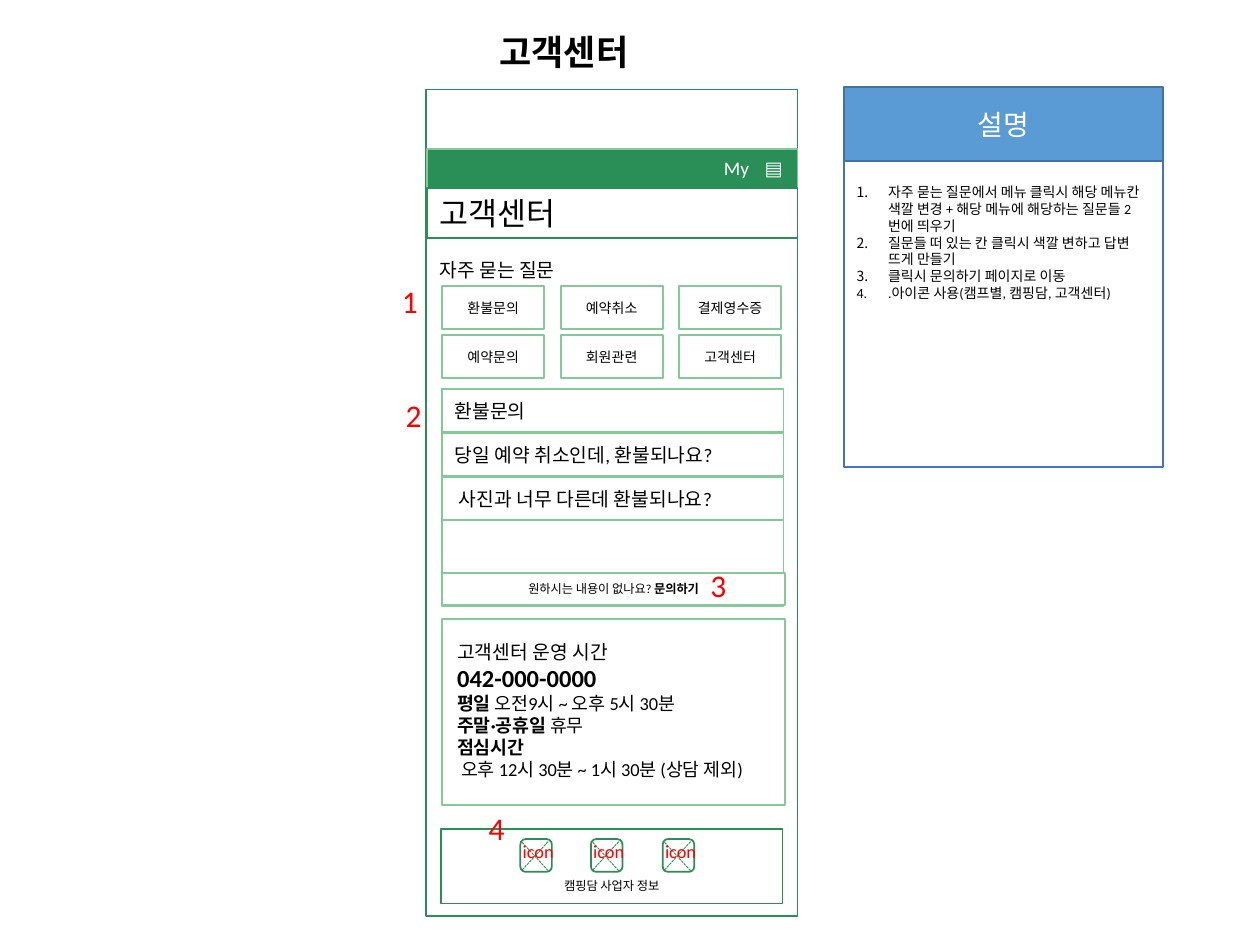
from lxml import etree
from pptx import Presentation
from pptx.dml.color import RGBColor
from pptx.enum.dml import MSO_LINE
from pptx.enum.shapes import MSO_CONNECTOR, MSO_SHAPE
from pptx.enum.text import MSO_ANCHOR, PP_ALIGN
from pptx.oxml.ns import qn
from pptx.util import Inches, Pt

RECT, ROUND = MSO_SHAPE.RECTANGLE, MSO_SHAPE.ROUNDED_RECTANGLE
STRAIGHT, DASH = MSO_CONNECTOR.STRAIGHT, MSO_LINE.SQUARE_DOT
TOP, MIDDLE, BOTTOM = MSO_ANCHOR.TOP, MSO_ANCHOR.MIDDLE, MSO_ANCHOR.BOTTOM
LEFT, CENTER = PP_ALIGN.LEFT, PP_ALIGN.CENTER
GREEN, LIGHT, BLUE = "2A8E57", "85C89A", "5B9BD5"
WHITE, BLACK, RED = "FFFFFF", "000000", "FF0000"

# Content: a paragraph is a string or a list of (text, format) runs
TITLE = "고객센터"
NOTES_HEAD = "설명"
NOTES = [
    "자주 묻는 질문에서 메뉴 클릭시 해당 메뉴칸 색깔 변경 + 해당 메뉴에 해당하는 질문들 2번에 띄우기",
    "질문들 떠 있는 칸 클릭시 색깔 변하고 답변 뜨게 만들기",
    "클릭시 문의하기 페이지로 이동",
    ".아이콘 사용(캠프별, 캠핑담, 고객센터)",
]
FAQ_HEAD = "자주 묻는 질문"
MENU = [["환불문의", "예약취소", "결제영수증"],
        ["예약문의", "회원관련", "고객센터"]]
QUESTIONS = ["환불문의", "당일 예약 취소인데, 환불되나요?", " 사진과 너무 다른데 환불되나요?"]
BOLD = {"bold": True}
ASK = [[("원하시는 내용이 없나요? ", {}), ("문의하기", BOLD)]]
HOURS = [
    [("고객센터 운영 시간", {"size": Pt(11)})],
    [("042-000-0000", {"size": Pt(14), "bold": True})],
    [("평일", BOLD), (" 오전9시 ~ 오후 5시 30분", {})],
    [("주말·공휴일", BOLD), (" 휴무", {})],
    [("점심시간", BOLD)],
    " 오후 12시 30분 ~ 1시 30분 (상담 제외)",
]
COMPANY = "캠핑담 사업자 정보"
MARKERS = [("1", 3.09, 2.19), ("2", 3.12, 3.09), ("3", 5.54, 4.44), ("4", 3.78, 6.37)]
ICON_LEFTS = [4.13, 4.69, 5.26]

prs = Presentation()
prs.slide_width, prs.slide_height = Inches(10), Inches(7.5)
s = prs.slides.add_slide(prs.slide_layouts[6])


def rgb(value):
    return RGBColor.from_string(value)


def write(sp, paras, size, color=BLACK, align=LEFT, anchor=MIDDLE, **frame):
    tf = sp.text_frame
    for name, value in {"word_wrap": True, "vertical_anchor": anchor, **frame}.items():
        setattr(tf, name, value)
    for i, runs in enumerate([paras] if isinstance(paras, str) else paras):
        p = tf.add_paragraph() if i else tf.paragraphs[0]
        p.alignment = align
        for text, fmt in [(runs, {})] if isinstance(runs, str) else runs:
            r = p.add_run()
            r.text = text
            r.font.color.rgb = rgb(color)
            for name, value in {"name": "Calibri", "size": Pt(size), **fmt}.items():
                setattr(r.font, name, value)
    return tf


def box(x, y, w, h, line=None, fill=None, kind=RECT):
    sp = s.shapes.add_shape(kind, Inches(x), Inches(y), Inches(w), Inches(h))
    sp.shadow.inherit = False
    if fill:
        sp.fill.solid()
        sp.fill.fore_color.rgb = rgb(fill)
    else:
        sp.fill.background()
    if line:
        sp.line.color.rgb = rgb(line)
        sp.line.width = Pt(1)
    else:
        sp.line.fill.background()
    return sp


def label(x, y, w, h, paras, size, color=BLACK, align=LEFT):
    sp = s.shapes.add_textbox(Inches(x), Inches(y), Inches(w), Inches(h))
    write(sp, paras, size, color, align, TOP)


def dashed(x1, y1, x2, y2):
    c = s.shapes.add_connector(STRAIGHT, *map(Inches, (x1, y1, x2, y2)))
    c.line.color.rgb = rgb(GREEN)
    c.line.width = Pt(0.5)
    c.line.dash_style = DASH
    etree.SubElement(c._element.spPr, qn("a:effectLst"))


# Phone frame and notes panel
box(3.38, 0.71, 2.95, 6.56, GREEN)
tf = write(box(6.7, 1.28, 2.53, 2.43, "4472C4", WHITE), NOTES, 8,
           anchor=TOP, margin_top=Inches(0.18))
for p in tf.paragraphs:
    pPr = p._p.get_or_add_pPr()
    pPr.set("marL", str(Inches(0.25)))
    pPr.set("indent", str(-Inches(0.25)))
    etree.SubElement(pPr, qn("a:buAutoNum"), type="arabicPeriod")
write(box(6.7, 0.69, 2.53, 0.59, "43739E", BLUE), NOTES_HEAD, 16, WHITE, CENTER)

# Title, menu bar and page heading
box(3.39, 1.18, 2.94, 0.31, LIGHT, GREEN)
for text, x, w in [("My", 5.61, 0.47), ("▤", 5.97, 0.32)]:
    write(box(x, 1.2, w, 0.26, GREEN), text, 11, WHITE, CENTER)
label(2.4, 0.19, 4.15, 0.44, [[(TITLE, BOLD)]], 20, align=CENTER)
write(box(3.39, 1.49, 2.94, 0.4, GREEN), TITLE, 18, anchor=TOP)

# Question categories
write(box(3.39, 1.97, 2.46, 0.34), FAQ_HEAD, 11)
for row, names in enumerate(MENU):
    for col, name in enumerate(names):
        sp = box(3.51 + 0.94 * col, 2.27 + 0.39 * row, 0.81, 0.34, LIGHT, WHITE)
        write(sp, name, 8, align=CENTER)

# Question list
box(3.51, 3.09, 2.71, 1.72, LIGHT, WHITE)
for i, question in enumerate(QUESTIONS):
    write(box(3.51, 3.09 + 0.35 * i, 2.71, 0.34, LIGHT, WHITE), question, 11)
write(box(3.51, 4.55, 2.72, 0.25, LIGHT, WHITE), ASK, 7, align=CENTER)

# Opening hours
box(3.51, 4.91, 2.72, 1.48, LIGHT, WHITE)
label(3.53, 5.03, 2.63, 1.23, HOURS, 10.5)

# Footer with icon placeholders
write(box(3.5, 6.58, 2.71, 0.59, GREEN, WHITE), COMPANY, 7, align=CENTER,
      anchor=BOTTOM, margin_bottom=Inches(0.08))
for x in ICON_LEFTS:
    box(x, 6.66, 0.25, 0.26, GREEN, WHITE, ROUND)
    dashed(x + 0.22, 6.91, x + 0.01, 6.68)
    dashed(x + 0.22, 6.68, x + 0.01, 6.91)
    label(x - 0.08, 6.62, 0.49, 0.3, "icon", 10.5, RED)

# Red reference numbers
for number, x, y in MARKERS:
    label(x, y, 0.32, 0.4, number, 18, RED)

prs.save("out.pptx")
